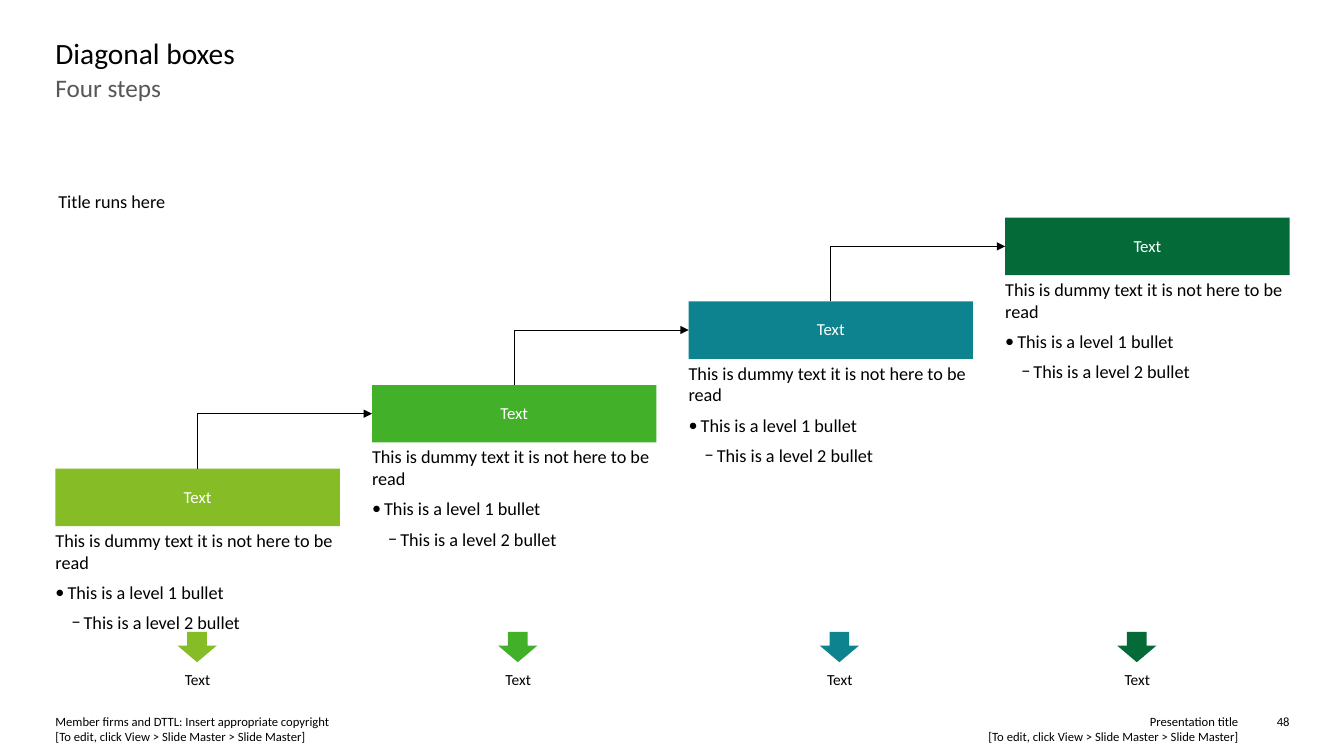
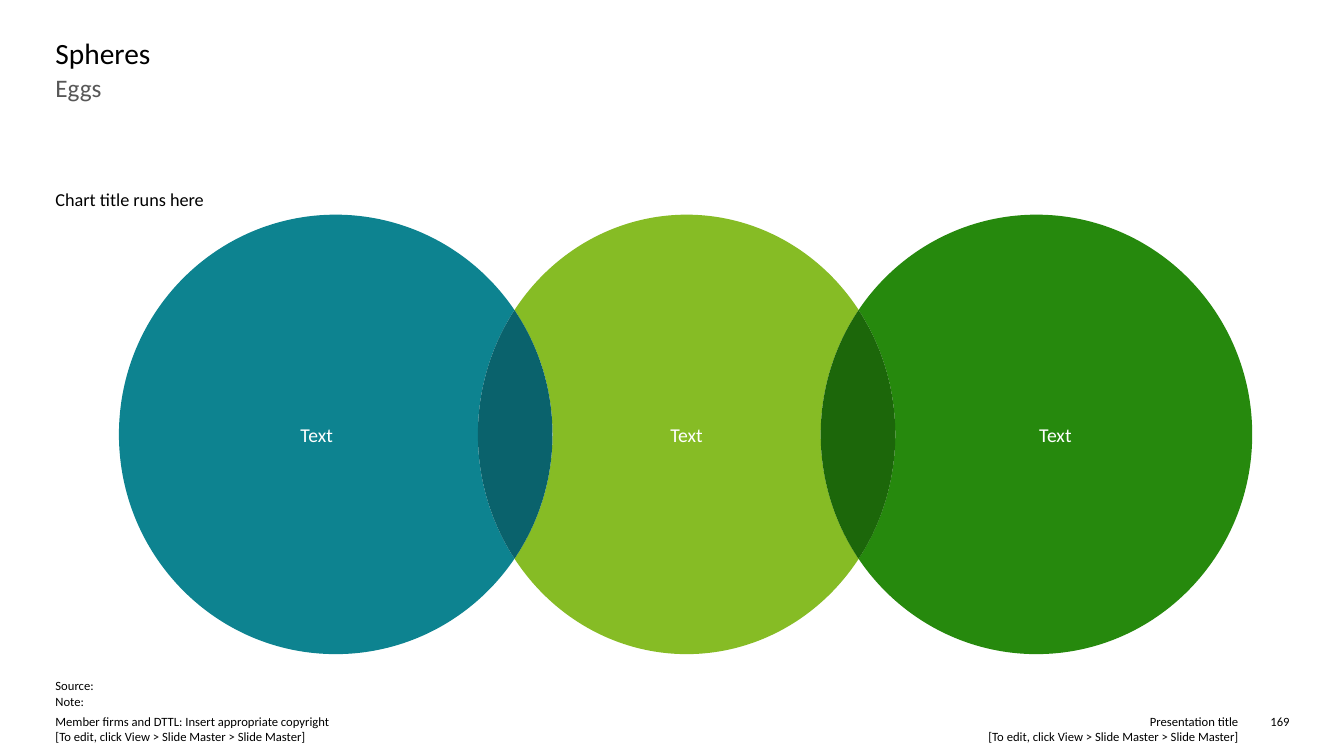
from math import acos, ceil, cos, floor, pi, sin, tan

from lxml import etree
from pptx import Presentation
from pptx.dml.color import RGBColor
from pptx.enum.shapes import MSO_CONNECTOR, MSO_SHAPE
from pptx.enum.text import MSO_ANCHOR, PP_ALIGN
from pptx.oxml.ns import qn
from pptx.util import Inches, Pt

# Shared style
FONT = "Calibri"
BLACK = RGBColor(0x00, 0x00, 0x00)
WHITE = RGBColor(0xFF, 0xFF, 0xFF)
GREY = RGBColor(0x57, 0x57, 0x57)
LIME = RGBColor(0x86, 0xBC, 0x25)
GREEN = RGBColor(0x43, 0xB0, 0x2A)
TEAL = RGBColor(0x0D, 0x83, 0x90)
FOREST = RGBColor(0x04, 0x6A, 0x38)
LEAF = RGBColor(0x26, 0x89, 0x0D)
DARK_TEAL = RGBColor(0x0A, 0x62, 0x6C)
DARK_LEAF = RGBColor(0x1C, 0x67, 0x0A)

LEFT, WIDTH = 0.55, 12.24
EDIT_HINT = "[To edit, click View > Slide Master > Slide Master]"


def add_runs(p, text, size, color, align=PP_ALIGN.LEFT):
    """Fill a paragraph; a newline in the text is a line break."""
    p.alignment = align
    for i, line in enumerate(text.split("\n")):
        if i:
            p.add_line_break()
        r = p.add_run()
        r.text = line
        r.font.size, r.font.name = Pt(size), FONT
        r.font.color.rgb = color


def add_text(s, box, paragraphs, size, color=BLACK, align=PP_ALIGN.LEFT,
             anchor=MSO_ANCHOR.TOP):
    tf = s.shapes.add_textbox(*map(Inches, box)).text_frame
    tf.word_wrap = True
    tf.vertical_anchor = anchor
    tf.margin_left = tf.margin_right = tf.margin_top = tf.margin_bottom = 0
    for i, text in enumerate(paragraphs):
        p = tf.add_paragraph() if i else tf.paragraphs[0]
        add_runs(p, text, size, color, align)
    return tf


def style_shape(sp, fill, label=None, size=12):
    sp.shadow.inherit = False
    sp.fill.solid()
    sp.fill.fore_color.rgb = fill
    sp.line.fill.background()
    if label:
        tf = sp.text_frame
        tf.word_wrap = True
        tf.vertical_anchor = MSO_ANCHOR.MIDDLE
        tf.margin_left = tf.margin_right = Inches(0.1)
        tf.margin_top = tf.margin_bottom = Inches(0.1)
        add_runs(tf.paragraphs[0], label, size, WHITE, PP_ALIGN.CENTER)


def set_bullet(p, level, char, indent):
    p.level = level
    p.space_before = Pt(6)
    pPr = p._p.get_or_add_pPr()
    pPr.set("marL", str(Inches(indent)))
    pPr.set("indent", str(Inches(-0.12)))
    etree.SubElement(pPr, qn("a:buFont")).set("typeface", FONT)
    etree.SubElement(pPr, qn("a:buChar")).set("char", char)


def new_slide(prs, title, subtitle, number):
    """Blank slide with title, subtitle and footer."""
    s = prs.slides.add_slide(prs.slide_layouts[6])
    add_text(s, (6.93, 7.08, 5.35, 0.3), ["Presentation title\n" + EDIT_HINT],
             9, align=PP_ALIGN.RIGHT)
    add_text(s, (LEFT, 7.08, 5.86, 0.3),
             ["Member firms and DTTL: Insert appropriate copyright\n" + EDIT_HINT], 9)
    add_text(s, (12.45, 7.08, 0.34, 0.15), [number], 9, align=PP_ALIGN.RIGHT)
    tf = add_text(s, (LEFT, 0.72, WIDTH, 0.83), [subtitle], 18, GREY)
    tf.paragraphs[0].space_after = Pt(10)
    add_text(s, (LEFT, 0.35, WIDTH, 0.37), [title], 21)
    return s


# Diagonal boxes
def add_step(s, x, y, w, h, color):
    sp = s.shapes.add_shape(MSO_SHAPE.RECTANGLE, *map(Inches, (x, y, w, h)))
    style_shape(sp, color, "Text")
    sp.text_frame.paragraphs[0].line_spacing = 0.95


def add_step_text(s, x, y, w, h):
    tf = add_text(s, (x, y, w, h),
                  ["This is dummy text it is not here to be read",
                   "This is a level 1 bullet", "This is a level 2 bullet"], 13)
    set_bullet(tf.paragraphs[1], 1, "•", 0.12)
    set_bullet(tf.paragraphs[2], 2, "−", 0.28)


def add_step_arrow(s, x1, y1, x2, y2):
    """Go up from (x1, y1), then right to (x2, y2)."""
    # The frame is turned by 90 degrees, so its width is the rise
    rise, run = y1 - y2, x2 - x1
    cx, cy = (x1 + x2) / 2, (y1 + y2) / 2
    c = s.shapes.add_connector(
        MSO_CONNECTOR.ELBOW, Inches(cx + rise / 2), Inches(cy + run / 2),
        Inches(cx - rise / 2), Inches(cy - run / 2))
    c.line.color.rgb = BLACK
    c.line.width = Pt(0.5)
    spPr = c._element.spPr
    spPr.find(qn("a:xfrm")).set("rot", "5400000")
    spPr.find(qn("a:prstGeom")).set("prst", "bentConnector2")
    etree.SubElement(spPr.find(qn("a:ln")), qn("a:tailEnd")).set("type", "triangle")
    etree.SubElement(spPr, qn("a:effectLst"))


def add_down_arrow(s, cx, y, color):
    tf = add_text(s, (cx - 1, y + 0.39, 2, 0.18), ["Text"], 11, align=PP_ALIGN.CENTER)
    tf.paragraphs[0].line_spacing = 0.95
    sp = s.shapes.add_shape(MSO_SHAPE.DOWN_ARROW, Inches(cx - 0.2), Inches(y),
                            Inches(0.39), Inches(0.3))
    sp.adjustments[0], sp.adjustments[1] = 0.5, 0.55
    style_shape(sp, color)


def diagonal_slide(prs):
    s = new_slide(prs, "Diagonal boxes", "Four steps", "48")
    w, h, dx, dy = 2.82, 0.57, 3.14, 0.83
    colors = (LIME, GREEN, TEAL, FOREST)
    corners = [(LEFT + i * dx, 4.65 - i * dy) for i in range(len(colors))]
    for (x, y), color in zip(corners, colors):
        add_step(s, x, y, w, h, color)
    for x, y in corners[:-1]:
        add_step_arrow(s, x + w / 2, y, x + dx, y - dy + h / 2)
    for x, y in corners:
        add_step_text(s, x, y + 0.6, w, 1.04)
    for cx, color in zip((1.96, 5.14, 8.33, 11.28), colors):
        add_down_arrow(s, cx, 6.27, color)
    add_text(s, (0.58, 1.89, 9.13, 0.22), ["Title runs here"], 13)


# Spheres
def arc(sphere, start, end):
    """Bezier points along an ellipse (cx, cy, rx, ry), cut at its extremes."""
    cx, cy, rx, ry = sphere
    low, high = sorted((start, end))
    quarters = range(ceil(low / (pi / 2)), floor(high / (pi / 2)) + 1)
    cuts = sorted([low, high] + [q * pi / 2 for q in quarters], reverse=start > end)

    def point(t, pull=0):
        return (Inches(cx + rx * (cos(t) - pull * sin(t))),
                Inches(cy + ry * (sin(t) + pull * cos(t))))

    points = [point(start)]
    for t0, t1 in zip(cuts, cuts[1:]):
        pull = 4 / 3 * tan((t1 - t0) / 4)
        points += [point(t0, pull), point(t1, -pull), point(t1)]
    return points


def crossing(a, b):
    """Angle at which two neighbouring spheres of equal height meet."""
    return acos((b[0] - a[0]) / (a[2] + b[2]))


def add_outline(s, arcs, fill, label=None):
    """Closed outline of arcs, each starting where the last one ends."""
    points = arcs[0][:1] + [pt for a in arcs for pt in a[1:]]
    fb = s.shapes.build_freeform(*points[0], scale=1.0)
    fb.add_line_segments(points[1:], close=True)
    sp = fb.convert_to_shape()
    # Every three points make one curve
    lines = list(sp._element.iter(qn("a:lnTo")))
    for i in range(0, len(points) - 1, 3):
        curve = etree.Element(qn("a:cubicBezTo"))
        lines[i].addprevious(curve)
        for line in lines[i:i + 3]:
            curve.append(line[0])
    for line in lines:
        line.getparent().remove(line)
    style_shape(sp, fill, label, 14)


def add_spheres(s, y, h, spans):
    one, two, three = [((x1 + x2) / 2, y + h / 2, (x2 - x1) / 2, h / 2)
                       for x1, x2 in spans]
    a, b = crossing(one, two), crossing(two, three)
    add_outline(s, [arc(one, a, 2 * pi - a), arc(two, pi + a, pi - a)], TEAL, "Text")
    add_outline(s, [arc(three, pi + b, 3 * pi - b), arc(two, b, -b)], LEAF, "Text")
    add_outline(s, [arc(two, pi + a, 2 * pi - b), arc(three, pi + b, pi - b),
                    arc(two, b, pi - a), arc(one, a, -a)], LIME, "Text")
    # Overlaps
    for left, right, t, color in ((one, two, a, DARK_TEAL), (two, three, b, DARK_LEAF)):
        add_outline(s, [arc(left, -t, t), arc(right, pi - t, pi + t)], color)


def spheres_slide(prs):
    s = new_slide(prs, "Spheres", "Eggs", "169")
    add_spheres(s, 2.13, 4.36, ((1.18, 5.48), (4.74, 8.88), (8.14, 12.42)))
    add_text(s, (LEFT, 6.68, 10.69, 0.35), ["Source:", "Note:"], 9,
             anchor=MSO_ANCHOR.BOTTOM)
    add_text(s, (LEFT, 1.87, 10.71, 0.22), ["Chart title runs here"], 13)


def main():
    prs = Presentation()
    prs.slide_width, prs.slide_height = Inches(13.33), Inches(7.5)
    diagonal_slide(prs)
    spheres_slide(prs)
    prs.save("out.pptx")


if __name__ == "__main__":
    main()
